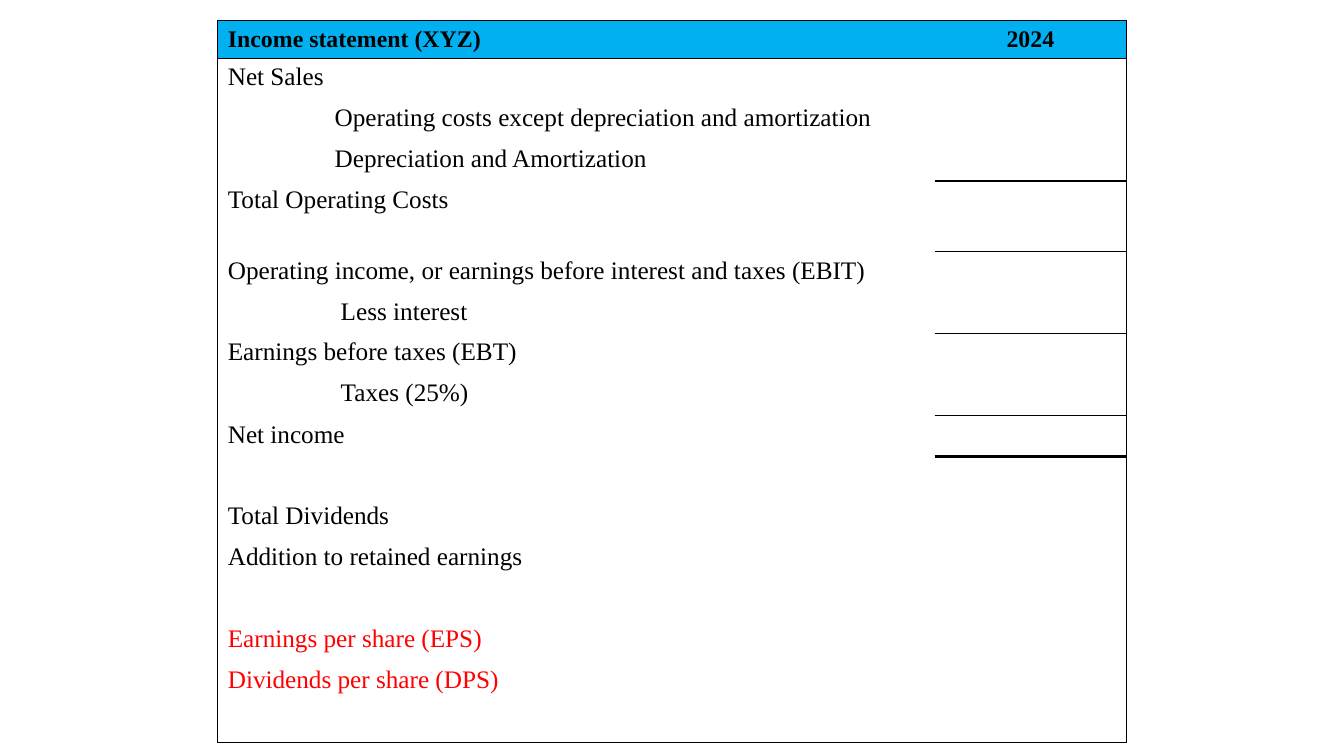
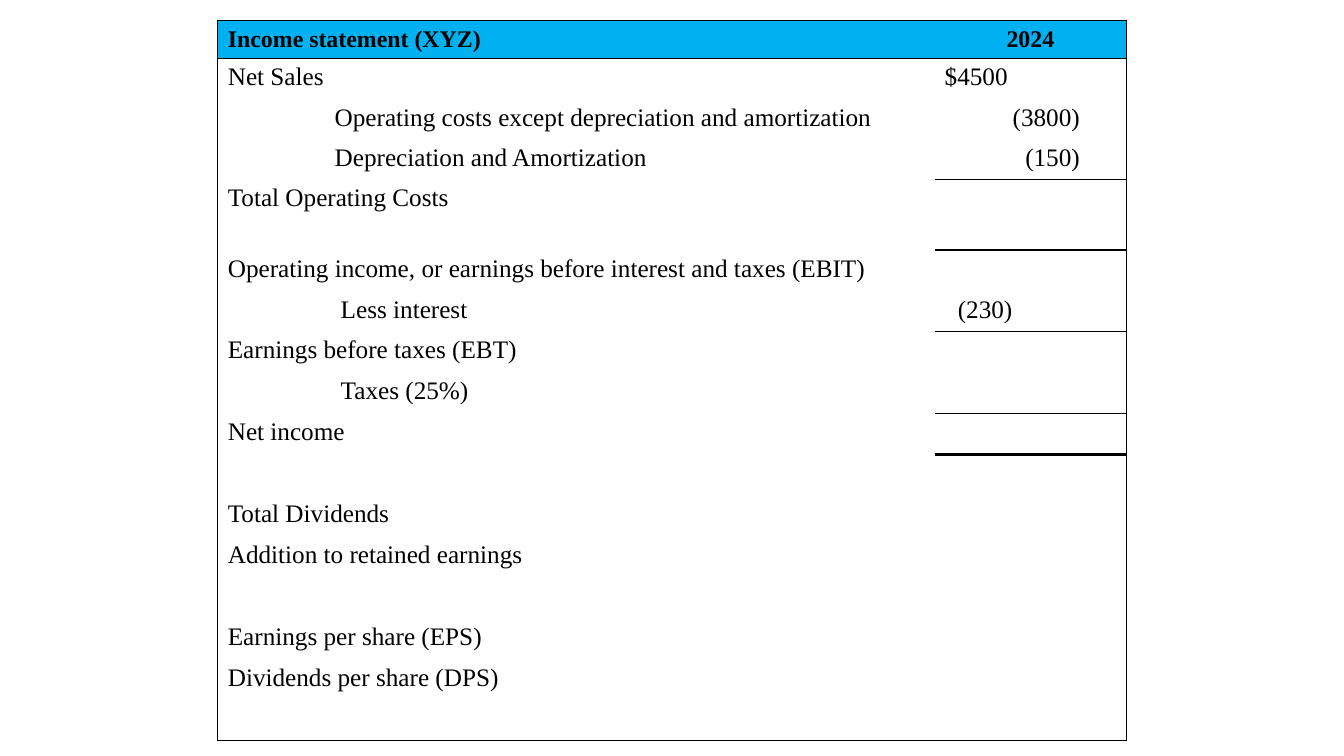
from dataclasses import dataclass

from lxml import etree
from pptx import Presentation
from pptx.dml.color import RGBColor
from pptx.enum import text
from pptx.oxml.ns import qn
from pptx.util import Inches, Pt


@dataclass(frozen=True)
class Theme:
    font: str = "Times New Roman"
    head_size: float = 17
    body_size: float = 18
    ink: str = "000000"
    head_fill: str = "00B0F0"
    accent: str = "FF0000"
    thin: float = 1
    thick: float = 2.25
    pad: float = 0.1
    plain_style: str = "{2D5ABB26-0587-4C30-8999-92F81FD0307C}"


T = Theme()
LEFT, RIGHT, CENTER = text.PP_ALIGN.LEFT, text.PP_ALIGN.RIGHT, text.PP_ALIGN.CENTER

# Statement lines: label, indent
HEADER = ("Income statement (XYZ)", "2024")
LINES = [
    ("Net Sales", 0),
    ("Operating costs except depreciation and amortization", 1.06),
    ("Depreciation and Amortization", 1.06),
    ("Total Operating Costs", 0),
    ("Operating income, or earnings before interest and taxes (EBIT)", 0),
    ("Less interest", 1.12),
    ("Earnings before taxes (EBT)", 0),
    ("Taxes (25%)", 1.12),
    ("Net income", 0),
    ("", 0),
    ("Total Dividends", 0),
    ("Addition to retained earnings", 0),
    ("", 0),
    ("Earnings per share (EPS)", 0),
    ("Dividends per share (DPS)", 0),
    ("", 0),
]
PER_SHARE = ("Earnings per share (EPS)", "Dividends per share (DPS)")

# Known amounts: text, alignment, indent from the aligned side
AMOUNTS = {
    "Net Sales": ("$4500", LEFT, 0),
    "Operating costs except depreciation and amortization": ("(3800)", RIGHT, 0.36),
    "Depreciation and Amortization": ("(150)", RIGHT, 0.36),
    "Less interest": ("(230)", LEFT, 0.13),
}

# Rules under the amounts, by row
RULES = {3: T.thin, 4: T.thin, 6: T.thin, 8: T.thin, 9: T.thick}
BOX = (2.16, 0.2, 9.01, 7.1)
AMOUNT_W = 1.9
HEAD_H, LINE_H = 0.38, 0.4
TALL_ROWS = {4: 0.7, 8: 0.41}


def set_borders(cell, widths):
    """Draw the given sides; a width of 0 leaves a side open."""
    tc_pr = cell._tc.get_or_add_tcPr()
    for side in "LRTB":
        width = widths.get(side, 0)
        ln = etree.SubElement(tc_pr, qn(f"a:ln{side}"), w=str(Pt(width)))
        if width:
            fill = etree.SubElement(ln, qn("a:solidFill"))
            etree.SubElement(fill, qn("a:srgbClr"), val=T.ink)
        else:
            etree.SubElement(ln, qn("a:noFill"))


def rule_below(row, col, last):
    if row in (0, last):
        return T.thin
    return RULES.get(row, 0) if col == 1 else 0


def cell_borders(row, col, last):
    return {
        "L" if col == 0 else "R": T.thin,
        "T": rule_below(row - 1, col, last) if row else T.thin,
        "B": rule_below(row, col, last),
    }


def write(cell, words, align=LEFT, indent=0, color=T.ink, head=False):
    cell.vertical_anchor = text.MSO_ANCHOR.MIDDLE if head else text.MSO_ANCHOR.TOP
    margins = {"margin_left": T.pad, "margin_right": T.pad}
    margins["margin_right" if align == RIGHT else "margin_left"] += indent
    for name, value in margins.items():
        setattr(cell, name, Inches(value))
    if not words:
        return
    p = cell.text_frame.paragraphs[0]
    p.alignment = align
    r = p.add_run()
    r.text = words
    style = {"name": T.font, "bold": head,
             "size": Pt(T.head_size if head else T.body_size)}
    for name, value in style.items():
        setattr(r.font, name, value)
    r.font.color.rgb = RGBColor.from_string(color)


def add_statement(s, box, amounts, per_share_color):
    x, y, w, h = box
    last = len(LINES)
    frame = s.shapes.add_table(last + 1, 2, *map(Inches, (x, y, w, h)))
    tb = frame.table
    tb.first_row = tb.horz_banding = False
    tb._tbl.tblPr.find(qn("a:tableStyleId")).text = T.plain_style
    for col, width in zip(tb.columns, (w - AMOUNT_W, AMOUNT_W)):
        col.width = Inches(width)

    # Grid: heights, rules and fills
    for i, row in enumerate(tb.rows):
        row.height = Inches(TALL_ROWS.get(i, LINE_H) if i else HEAD_H)
        for j, cell in enumerate(row.cells):
            set_borders(cell, cell_borders(i, j, last))
            if i:
                cell.fill.background()
            else:
                cell.fill.solid()
                cell.fill.fore_color.rgb = RGBColor.from_string(T.head_fill)

    # Header row
    for j, (words, align) in enumerate(zip(HEADER, (LEFT, CENTER))):
        write(tb.cell(0, j), words, align, head=True)

    # Statement lines and amounts
    for i, (label, indent) in enumerate(LINES, 1):
        color = per_share_color if label in PER_SHARE else T.ink
        write(tb.cell(i, 0), label, indent=indent, color=color)
        write(tb.cell(i, 1), *amounts.get(label, ("",)))


def main():
    prs = Presentation()
    prs.slide_width, prs.slide_height = Inches(13.33), Inches(7.5)
    for amounts, color in (({}, T.accent), (AMOUNTS, T.ink)):
        s = prs.slides.add_slide(prs.slide_layouts[6])
        add_statement(s, BOX, amounts, color)
    prs.save("out.pptx")


if __name__ == "__main__":
    main()
